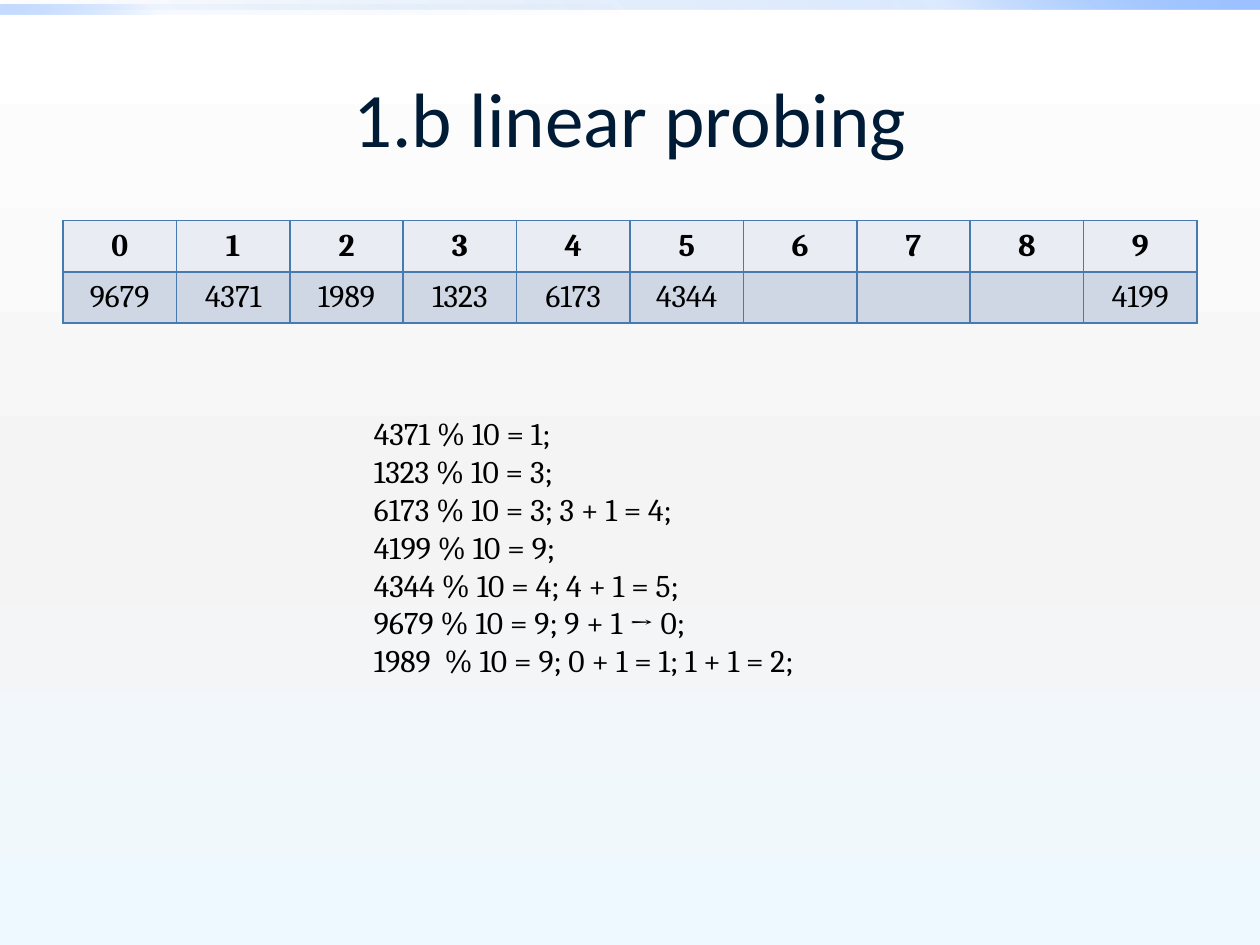
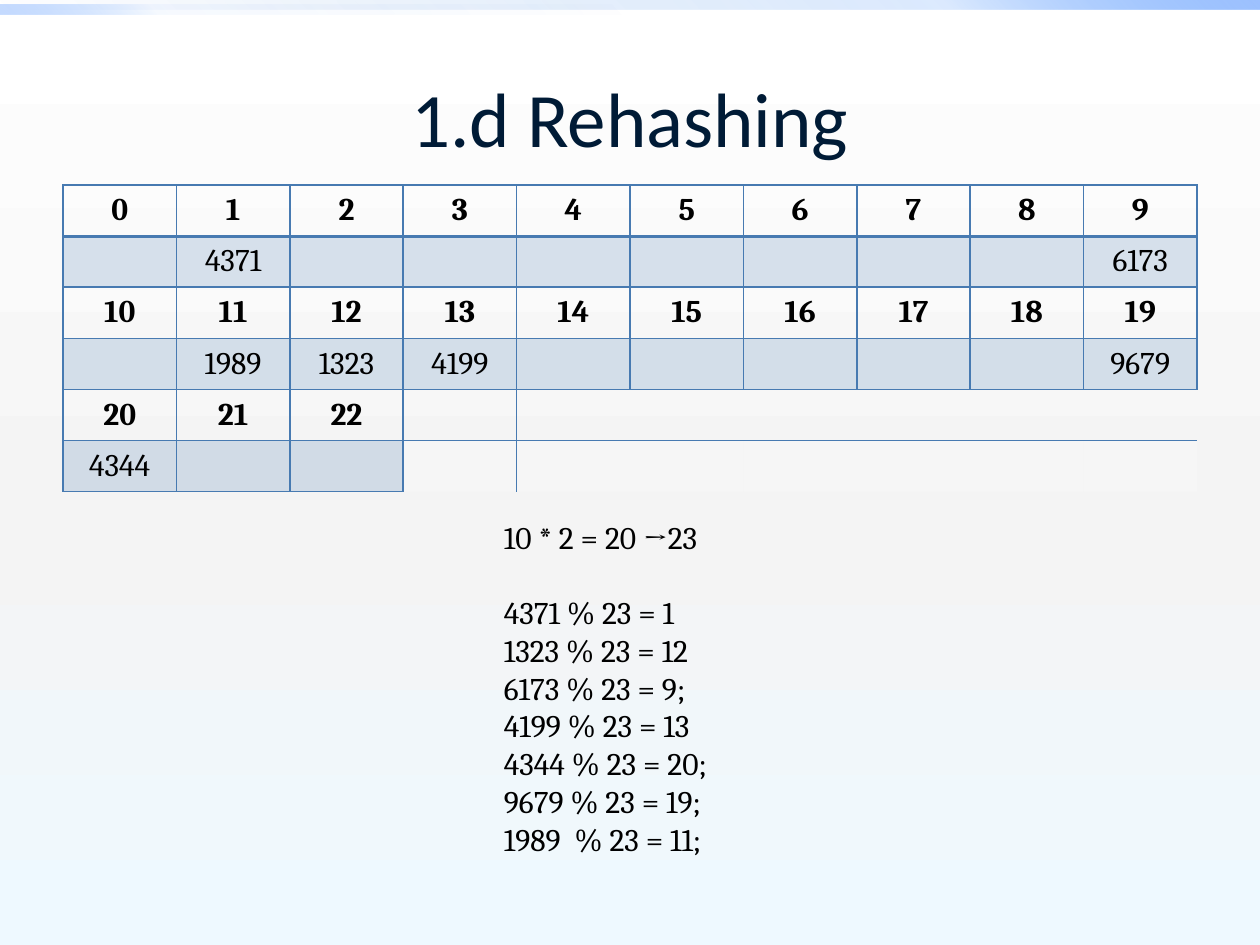
import pptx
import pptx.util
import pptx.oxml.ns
import pptx.enum.text
import pptx.enum.shapes
import lxml.etree

Cm = pptx.util.Cm
Pt = pptx.util.Pt
qn = pptx.oxml.ns.qn
sub = lxml.etree.SubElement
MID = pptx.enum.text.MSO_ANCHOR.MIDDLE
CENTER = pptx.enum.text.PP_ALIGN.CENTER
RECT = pptx.enum.shapes.MSO_SHAPE.RECTANGLE

# Shared colours and fonts
NAVY, BLACK, WHITE, BLUE = "001B36", "000000", "FFFFFF", "477AB1"
HEAD, BODY = "Calibri", "Cambria"
PLAIN = "{2D5ABB26-0587-4C30-8999-92F81FD0307C}"

# Gradients: (position, colour, opacity) in percent, then the angle
PAGE = [(0, WHITE, 100), (55, "F4F4F4", 100), (100, "EEF9FF", 100)], 90
BANDS = [
    (0, 25.4, [(0, "0058B7", 0), (75, "4F95FF", 20), (100, "9EC2FF", 100)], 315),
    (0.1, 12.7, [(0, "0058B7", 0), (75, "4F95FF", 5), (100, "9EC2FF", 60)], 135),
]


def paint(node, tone, alpha=100):
    """Give an XML node a colour with an opacity in percent."""
    color = sub(node, qn("a:srgbClr"), val=tone)
    if alpha < 100:
        sub(color, qn("a:alpha"), val=str(alpha * 1000))


def write(para, text, font, size, tone, bold=False):
    """Add one run to a paragraph."""
    run = para.add_run()
    run.text = text
    run.font.name, run.font.size, run.font.bold = font, Pt(size), bold
    fill = lxml.etree.Element(qn("a:solidFill"))
    paint(fill, tone)
    run._r.get_or_add_rPr().insert(0, fill)


# Slide content: keys are table slots, values the numbers stored there
DECK = [
    dict(title="1.b linear probing", top=4.45, slots=10,
         keys={0: 9679, 1: 4371, 2: 1989, 3: 1323, 4: 6173, 5: 4344, 9: 4199},
         fills=[("E9ECF2", 100), ("CFD7E4", 100)], rule=1,
         box=(7.29, 8.23, 10.13, 5.64), gap=None,
         lines=["4371 % 10 = 1;", "1323 % 10 = 3;", "6173 % 10 = 3; 3 + 1 = 4;",
                "4199 % 10 = 9;", "4344 % 10 = 4; 4 + 1 = 5;",
                "9679 % 10 = 9; 9 + 1 → 0;",
                "1989  % 10 = 9; 0 + 1 = 1; 1 + 1 = 2;"]),
    dict(title="1.d Rehashing", top=3.73, slots=23,
         keys={1: 4371, 9: 6173, 11: 1989, 12: 1323, 13: 4199, 19: 9679, 20: 4344},
         fills=[None, (BLUE, 20)], rule=2,
         box=(9.91, 10.31, 5.31, 7.19), gap=1,
         lines=["10 * 2 = 20 →23", "4371 % 23 = 1", "1323 % 23 = 12",
                "6173 % 23 = 9;", "4199 % 23 = 13", "4344 % 23 = 20;",
                "9679 % 23 = 19;", "1989  % 23 = 11;"]),
]

show = pptx.Presentation()
show.slide_width, show.slide_height = Cm(25.4), Cm(19.05)

for item in DECK:
    slide = show.slides.add_slide(show.slide_layouts[6])
    shapes = slide.shapes

    # Background and top bands
    slide.background.fill.solid()
    fades = [(slide._element.find(".//" + qn("p:bgPr")), *PAGE)]
    for top, width, stops, turn in BANDS:
        band = shapes.add_shape(RECT, 0, Cm(top), Cm(width), Cm(0.2))
        band.shadow.inherit = False
        band.line.fill.background()
        band.fill.solid()
        fades.append((band._element.spPr, stops, turn))
    for node, stops, turn in fades:
        grad = lxml.etree.Element(qn("a:gradFill"), rotWithShape="1")
        group = sub(grad, qn("a:gsLst"))
        for spot, tone, alpha in stops:
            paint(sub(group, qn("a:gs"), pos=str(spot * 1000)), tone, alpha)
        sub(grad, qn("a:lin"), ang=str(turn * 60000), scaled="0")
        node.replace(node.find(qn("a:solidFill")), grad)

    # Title
    frame = shapes.add_textbox(Cm(1.27), Cm(0.76), Cm(22.86), Cm(3.18)).text_frame
    frame.word_wrap, frame.vertical_anchor = True, MID
    frame.paragraphs[0].alignment = CENTER
    write(frame.paragraphs[0], item["title"], HEAD, 44, NAVY)

    # Hash table: a row of slot numbers above a row of keys, ten to a row
    rows = 2 * -(-item["slots"] // 10)
    grid = shapes.add_table(rows, 10, Cm(1.27), Cm(item["top"]),
                            Cm(22.86), Cm(1.03) * rows)
    table = grid.table
    table.first_row = table.horz_banding = False
    table._tbl.tblPr.find(qn("a:tableStyleId")).text = PLAIN
    for row in table.rows:
        row.height = Cm(1.03)
    for r in range(rows):
        for c in range(10):
            cell = table.cell(r, c)
            cell.vertical_anchor = MID
            slot = r // 2 * 10 + c
            used = slot < item["slots"]
            text = str(slot) if r % 2 == 0 else str(item["keys"].get(slot, ""))
            if used and text:
                para = cell.text_frame.paragraphs[0]
                para.alignment = CENTER
                write(para, text, BODY, 18, BLACK, r % 2 == 0)

            # Borders: unused slots only share those of their neighbours
            props = cell._tc.get_or_add_tcPr()
            left = used or slot - 1 < item["slots"]
            above = used or r % 2 == 0
            for side, drawn in zip("LRTB", (left, used, above, used)):
                if drawn:
                    thick = (r, side) in ((0, "B"), (1, "T"))
                    width = Pt(item["rule"] if thick else 1)
                    edge = sub(props, qn("a:ln" + side), w=str(width))
                    paint(sub(edge, qn("a:solidFill")), BLUE)

            # Fill
            fill = item["fills"][r % 2]
            if fill:
                tone, alpha = fill
                paint(sub(props, qn("a:solidFill")), tone if used else WHITE, alpha)
            else:
                sub(props, qn("a:noFill"))

    # Worked steps
    frame = shapes.add_textbox(*map(Cm, item["box"])).text_frame
    frame.word_wrap = True
    for n, line in enumerate(item["lines"]):
        para = frame.add_paragraph() if n else frame.paragraphs[0]
        if n == item["gap"]:
            para.space_before = Pt(21.5)
        write(para, line, BODY, 18, BLACK)

show.save("out.pptx")
